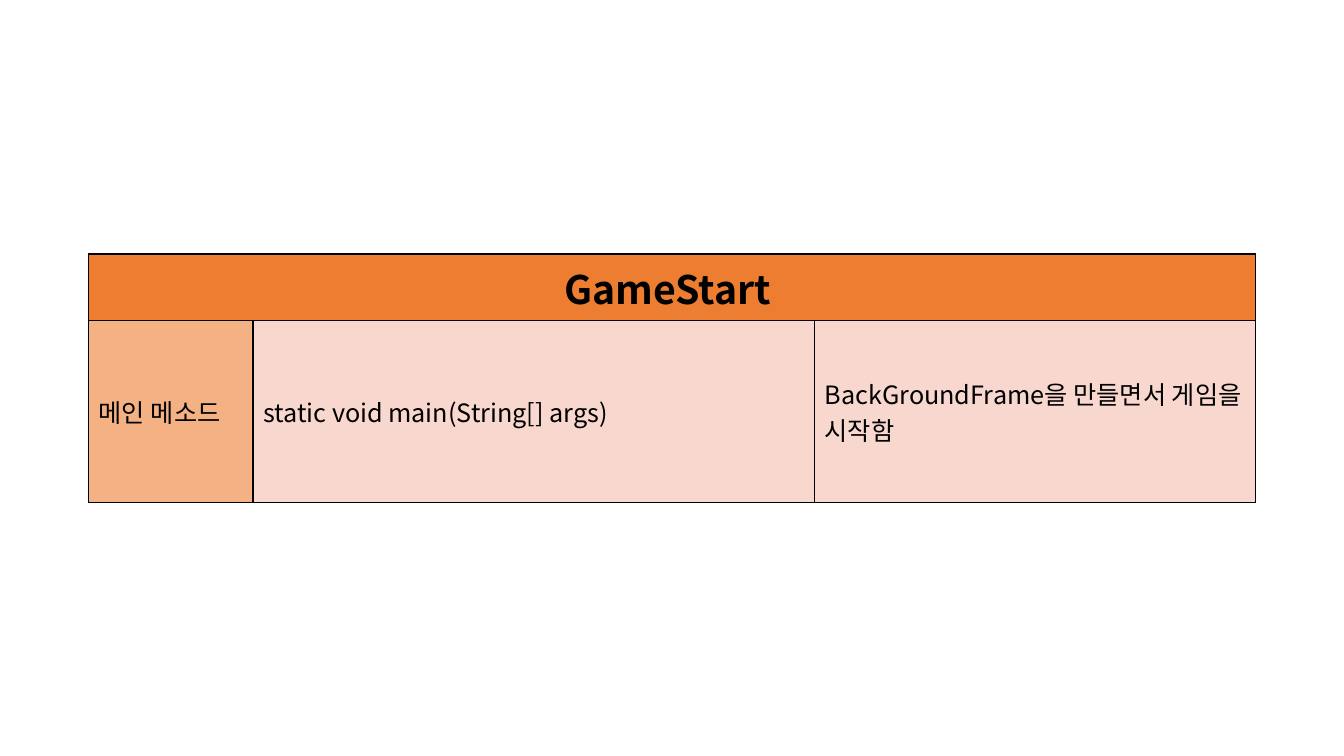
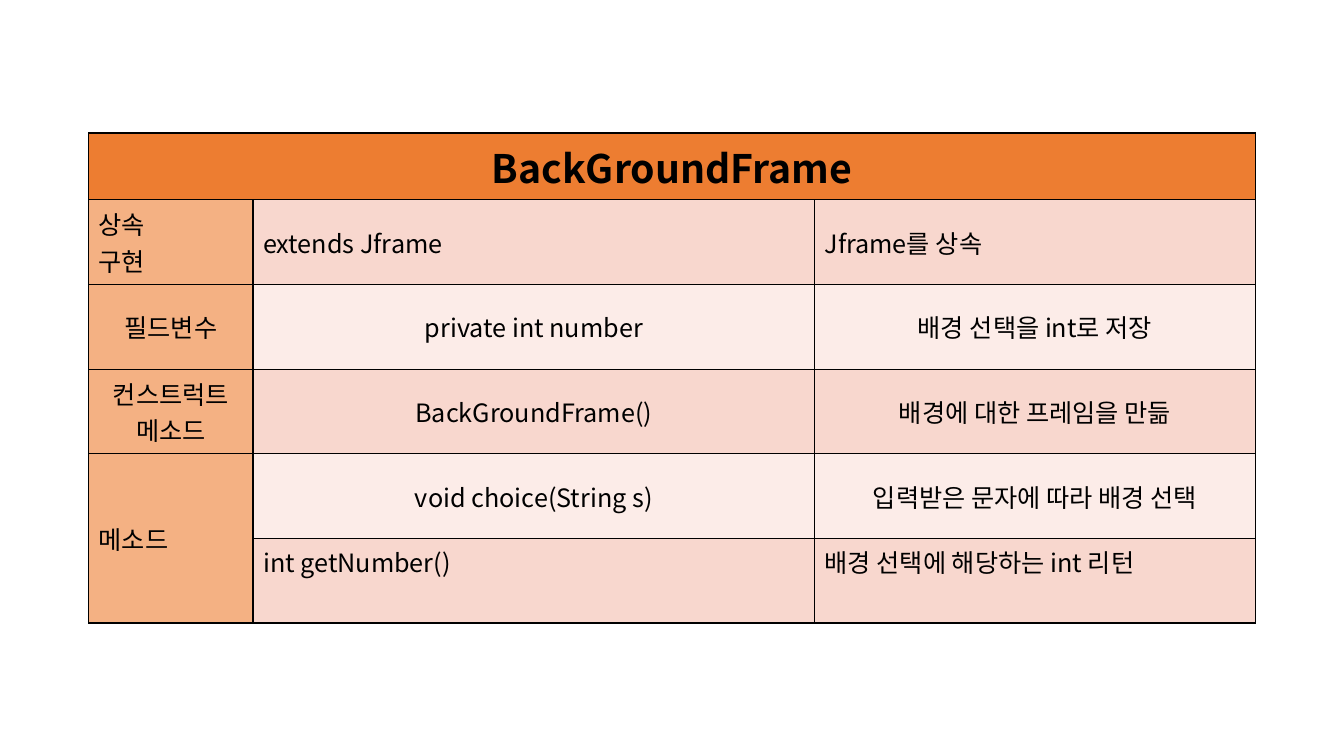
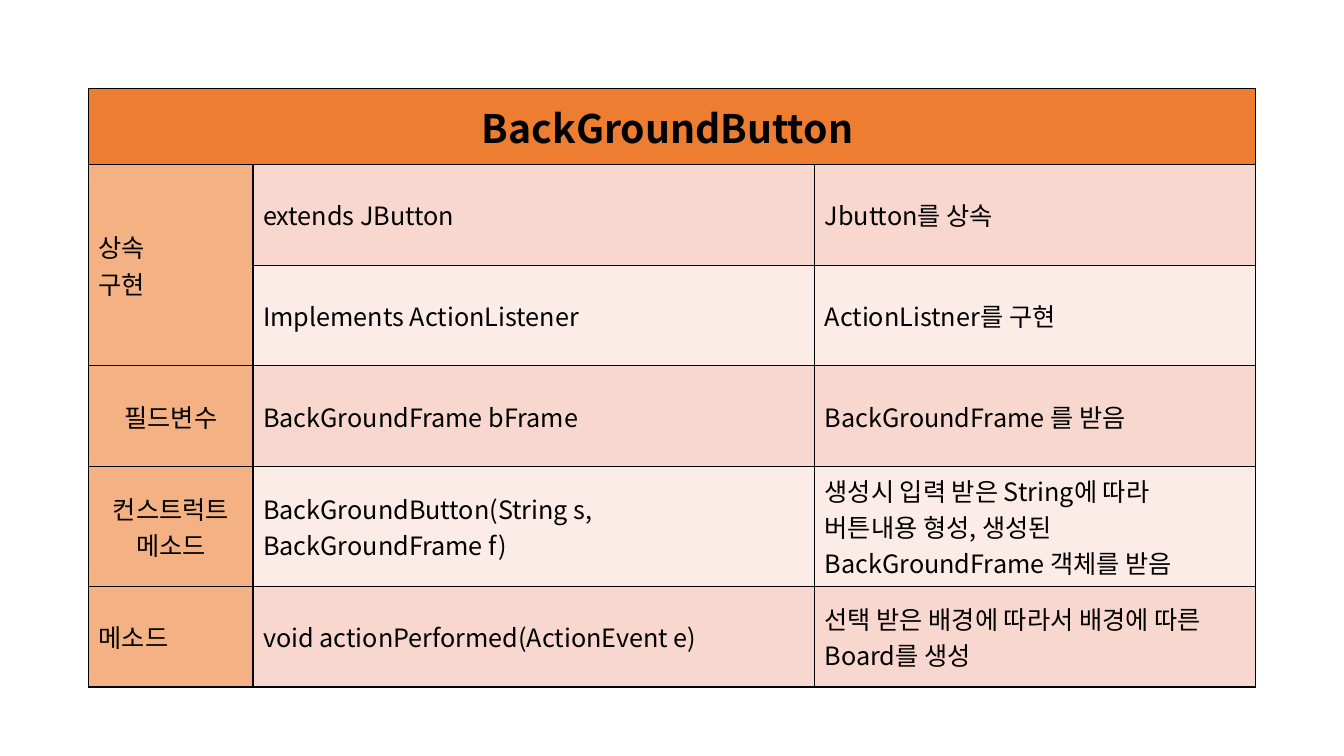
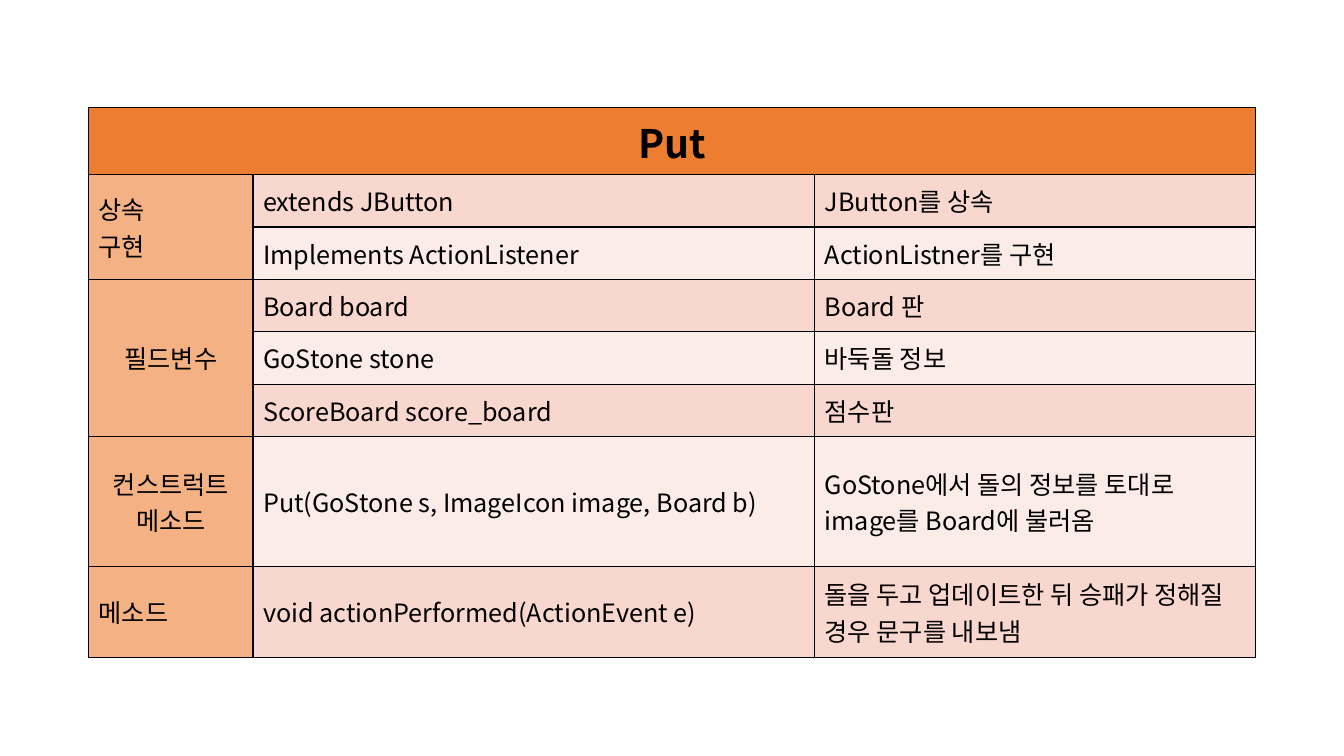
from typing import NamedTuple

from lxml import etree
from pptx import Presentation
from pptx.dml.color import RGBColor
from pptx.enum.text import MSO_ANCHOR, PP_ALIGN
from pptx.oxml.ns import qn
from pptx.util import Inches, Pt

FONT = "Noto Sans CJK KR"
COLORS = {
    "text": "000000",
    "border": "000000",
    "header": "ED7D31",
    "label": "F4B183",
    "odd_row": "F8D7CE",
    "even_row": "FCECE8",
}
COLUMNS = (1.63, 5.57, 4.37)
TABLE_LEFT = 0.88

# Labels of the first column; a row without a label continues the one above
INHERITS = "상속\n구현"
FIELDS = "필드변수"
CONSTRUCTOR = "컨스트럭트\n메소드"
METHODS = "메소드"
CENTERED_LABELS = (FIELDS, CONSTRUCTOR)


class Member(NamedTuple):
    label: str
    code: str
    note: str
    height: float
    centered: bool = False
    anchor: MSO_ANCHOR = MSO_ANCHOR.MIDDLE


class Deck:
    def __init__(self):
        self.prs = Presentation()
        self.prs.slide_width = Inches(13.33)
        self.prs.slide_height = Inches(7.5)
        self.slide = None

    def add_slide(self):
        self.slide = self.prs.slides.add_slide(self.prs.slide_layouts[6])

    def style_cell(self, cell, color):
        """Fill the cell and draw a thin line on its four sides."""
        cell.fill.solid()
        cell.fill.fore_color.rgb = RGBColor.from_string(COLORS[color])
        props = cell._tc.get_or_add_tcPr()
        for index, side in enumerate(("lnL", "lnR", "lnT", "lnB")):
            line = etree.Element(qn(f"a:{side}"), w=str(Pt(1)))
            fill = etree.SubElement(line, qn("a:solidFill"))
            etree.SubElement(fill, qn("a:srgbClr"), val=COLORS["border"])
            props.insert(index, line)

    def cell_text(self, cell, text, size=18, bold=False, centered=False,
                  anchor=MSO_ANCHOR.MIDDLE):
        cell.vertical_anchor = anchor
        cell.text_frame.text = text
        for paragraph in cell.text_frame.paragraphs:
            paragraph.alignment = PP_ALIGN.CENTER if centered else PP_ALIGN.LEFT
            for run in paragraph.runs:
                run.font.size = Pt(size)
                run.font.bold = bold
                run.font.color.rgb = RGBColor.from_string(COLORS["text"])
                run.font.name = FONT
                etree.SubElement(run._r.get_or_add_rPr(), qn("a:ea"),
                                 typeface=FONT)

    def class_table(self, name, top, header_height, members):
        """Describe one class: a header row, then one row per member."""
        heights = [header_height] + [member.height for member in members]
        table = self.slide.shapes.add_table(
            len(heights), len(COLUMNS), Inches(TABLE_LEFT), Inches(top),
            Inches(sum(COLUMNS)), Inches(sum(heights))).table
        table.first_row = table.horz_banding = False
        for column, width in zip(table.columns, COLUMNS):
            column.width = Inches(width)
        for row, height in zip(table.rows, heights):
            row.height = Inches(height)

        # Header
        for cell in table.rows[0].cells:
            self.style_cell(cell, "header")
        table.cell(0, 0).merge(table.cell(0, len(COLUMNS) - 1))
        self.cell_text(table.cell(0, 0), name, size=28, bold=True,
                       centered=True)

        # Members, in alternating bands
        for number, member in enumerate(members, 1):
            label, code, note = table.rows[number].cells
            band = "odd_row" if number % 2 else "even_row"
            self.style_cell(label, "label")
            for cell, text in ((code, member.code), (note, member.note)):
                self.style_cell(cell, band)
                self.cell_text(cell, text, centered=member.centered,
                               anchor=member.anchor)
            if member.label:
                self.cell_text(label, member.label,
                               centered=member.label in CENTERED_LABELS)

        # Labels shared by several rows
        starts = [n for n, member in enumerate(members, 1) if member.label]
        for start, end in zip(starts, starts[1:] + [len(heights)]):
            if end - start > 1:
                table.cell(start, 0).merge(table.cell(end - 1, 0))


deck = Deck()

# Slide 1: GameStart
deck.add_slide()
deck.class_table("GameStart ", 2.52, 0.66, [
    Member("메인 메소드", "static void main(String[] args)",
           "BackGroundFrame을 만들면서 게임을 시작함", 1.8),
])

# Slide 2: BackGroundFrame
deck.add_slide()
deck.class_table("BackGroundFrame", 1.32, 0.65, [
    Member(INHERITS, "extends Jframe", "Jframe를 상속", 0.84),
    Member(FIELDS, "private int number", "배경 선택을 int로 저장", 0.84, True),
    Member(CONSTRUCTOR, "BackGroundFrame()", "배경에 대한 프레임을 만듦",
           0.84, True),
    Member(METHODS, "void choice(String s)", "입력받은 문자에 따라 배경 선택",
           0.84, True),
    Member("", "int getNumber()", "배경 선택에 해당하는 int 리턴", 0.84,
           anchor=MSO_ANCHOR.TOP),
])

# Slide 3: BackGroundButton
deck.add_slide()
deck.class_table("BackGroundButton ", 0.88, 0.75, [
    Member(INHERITS, "extends JButton", "Jbutton를 상속", 1),
    Member("", "Implements ActionListener", "ActionListner를 구현", 1),
    Member(FIELDS, "BackGroundFrame bFrame", "BackGroundFrame 를 받음", 1),
    Member(CONSTRUCTOR, "BackGroundButton(String s, BackGroundFrame f)",
           "생성시 입력 받은 String에 따라 버튼내용 형성, 생성된 "
           "BackGroundFrame 객체를 받음", 1),
    Member(METHODS, "void actionPerformed(ActionEvent e)",
           "선택 받은 배경에 따라서 배경에 따른 Board를 생성", 1),
])

# Slide 4: Put
deck.add_slide()
deck.class_table("Put", 1.07, 0.52, [
    Member(INHERITS, "extends JButton", "JButton를 상속", 0.52),
    Member("", "Implements ActionListener", "ActionListner를 구현", 0.52),
    Member(FIELDS, "Board board", "Board 판", 0.52),
    Member("", "GoStone stone", "바둑돌 정보", 0.52),
    Member("", "ScoreBoard score_board", "점수판", 0.52),
    Member(CONSTRUCTOR, "Put(GoStone s, ImageIcon image, Board b)",
           "GoStone에서 돌의 정보를 토대로 image를 Board에 불러옴", 1.29),
    Member(METHODS, "void actionPerformed(ActionEvent e)",
           "돌을 두고 업데이트한 뒤 승패가 정해질 경우 문구를 내보냄", 0.9),
])

deck.prs.save("out.pptx")
